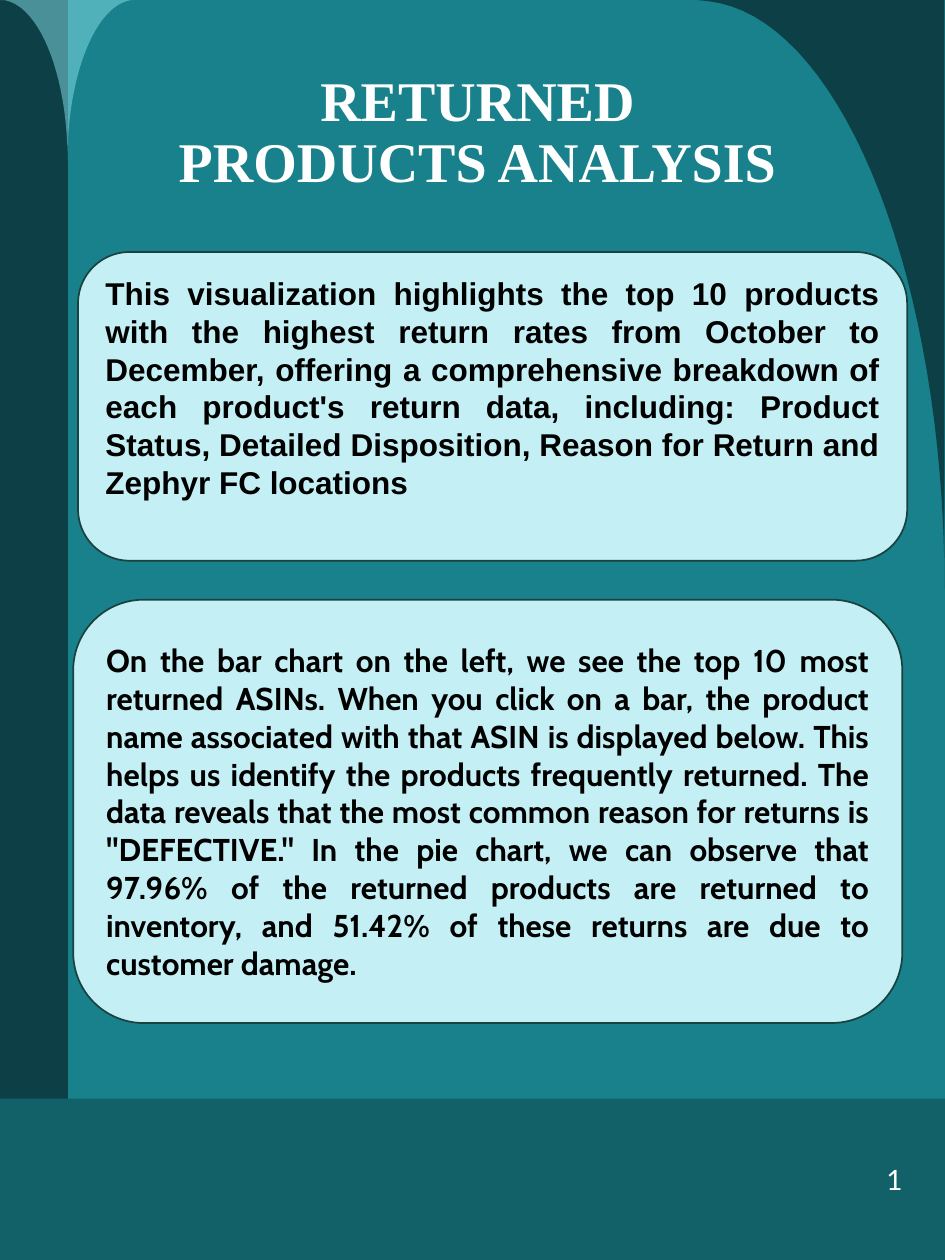
"""Builds a portrait slide on returned products with two text panels."""
from lxml import etree
from pptx import Presentation
from pptx.dml.color import RGBColor
from pptx.enum.shapes import MSO_SHAPE
from pptx.enum.text import MSO_ANCHOR, PP_ALIGN
from pptx.oxml.ns import qn
from pptx.util import Pt

RECT, ROUND = MSO_SHAPE.RECTANGLE, MSO_SHAPE.ROUNDED_RECTANGLE
MIDDLE = MSO_ANCHOR.MIDDLE
CENTER, JUSTIFY = PP_ALIGN.CENTER, PP_ALIGN.JUSTIFY
HEX = {"back": "18818C", "dark": "0C4046", "band": "126169", "wing": "89E1EB",
       "panel": "C4F0F5", "edge": "1A433F", "white": "FFFFFF", "black": "000000"}
COLOR = {name: RGBColor.from_string(code) for name, code in HEX.items()}


def write(frame, text, font, size, color, bold=False, align=CENTER, pitch=1.0):
    frame.word_wrap = True
    frame.vertical_anchor = MIDDLE
    par = frame.paragraphs[0]
    par.alignment = align
    par.line_spacing = pitch
    run = par.add_run()
    run.text = text
    run.font.name = font
    run.font.size = Pt(size)
    run.font.bold = bold
    run.font.color.rgb = COLOR[color]


def curve(*ends, steps=32):
    dots = []
    for i in range(steps + 1):
        t = i / steps
        parts = ((1 - t) ** 3, 3 * t * (1 - t) ** 2, 3 * t ** 2 * (1 - t), t ** 3)
        dots.append(tuple(sum(k * e[axis] for k, e in zip(parts, ends)) for axis in (0, 1)))
    return dots


deck = Presentation()
deck.slide_width, deck.slide_height = Pt(540), Pt(720)
slide = deck.slides.add_slide(deck.slide_layouts[5])
slide.background.fill.solid()
slide.background.fill.fore_color.rgb = COLOR["back"]
shapes = slide.shapes

for x, y, w, h, color in ((0, 0, 38.9, 720, "dark"), (0, 627.8, 540, 92.2, "band")):
    bar = shapes.add_shape(RECT, Pt(x), Pt(y), Pt(w), Pt(h))
    bar.shadow.inherit = False
    bar.fill.solid()
    bar.fill.fore_color.rgb = COLOR[color]
    bar.line.fill.background()

mid = 38.6
half = curve((75.6, 0), (55.4, 2.2), (39.6, 40.3), (mid, 87.1))
twin = [(2 * mid - x, y) for x, y in reversed(half)]
sweep = curve((404.6, 0.7), (477.4, 8.6), (535.7, 146.9), (539.6, 319))
outlines = (
    ([(539.6, 336.2), (539.6, 0), (398.2, 0)] + sweep, "dark", 100),
    ([(77, 0)] + half + [(mid, 92.2)] + twin + [(0, 0)], "wing", 50),
)
for dots, color, alpha in outlines:
    start, *rest = [(Pt(x), Pt(y)) for x, y in dots]
    pen = shapes.build_freeform(*start)
    pen.add_line_segments(rest, close=True)
    form = pen.convert_to_shape()
    form.shadow.inherit = False
    form.fill.solid()
    form.fill.fore_color.rgb = COLOR[color]
    form.line.fill.background()
    if alpha < 100:
        tint = form.fill._xPr.find(qn("a:solidFill"))[0]
        etree.SubElement(tint, qn("a:alpha"), val=str(alpha * 1000))

title = shapes.title
title.left, title.top, title.width, title.height = Pt(92.2), Pt(6.5), Pt(361.4), Pt(139.7)
write(title.text_frame, "RETURNED PRODUCTS ANALYSIS", "Times New Roman", 32, "white",
      bold=True, pitch=0.9)

page = shapes.add_textbox(Pt(482.4), Pt(627.8), Pt(57.6), Pt(92.2))
write(page.text_frame, "1", "Lato", 16, "white")

pitch = Pt(21.6)
panels = (
    (44.6, 144, 176.4, "Arial", Pt(25.2),
     "This visualization highlights the top 10 products with the highest return rates from "
     "October to December, offering a comprehensive breakdown of each product's return data, "
     "including: Product Status, Detailed Disposition, Reason for Return and Zephyr FC "
     "locations"),
    (41.8, 342.7, 241.9, "Cabin", Pt(3.6),
     "On the bar chart on the left, we see the top 10 most returned ASINs. When you click on "
     "a bar, the product name associated with that ASIN is displayed below. This helps us "
     "identify the products frequently returned. The data reveals that the most common reason "
     "for returns is \"DEFECTIVE.\" In the pie chart, we can observe that 97.96% of the "
     "returned products are returned to inventory, and 51.42% of these returns are due to "
     "customer damage."),
)
for x, y, h, font, foot, text in panels:
    panel = shapes.add_shape(ROUND, Pt(x), Pt(y), Pt(473.8), Pt(h))
    panel.shadow.inherit = False
    panel.fill.solid()
    panel.fill.fore_color.rgb = COLOR["panel"]
    panel.line.color.rgb = COLOR["edge"]
    panel.line.width = Pt(1)
    panel.text_frame.margin_bottom = foot
    write(panel.text_frame, text, font, 18, "black", bold=True, align=JUSTIFY, pitch=pitch)

deck.save("out.pptx")
